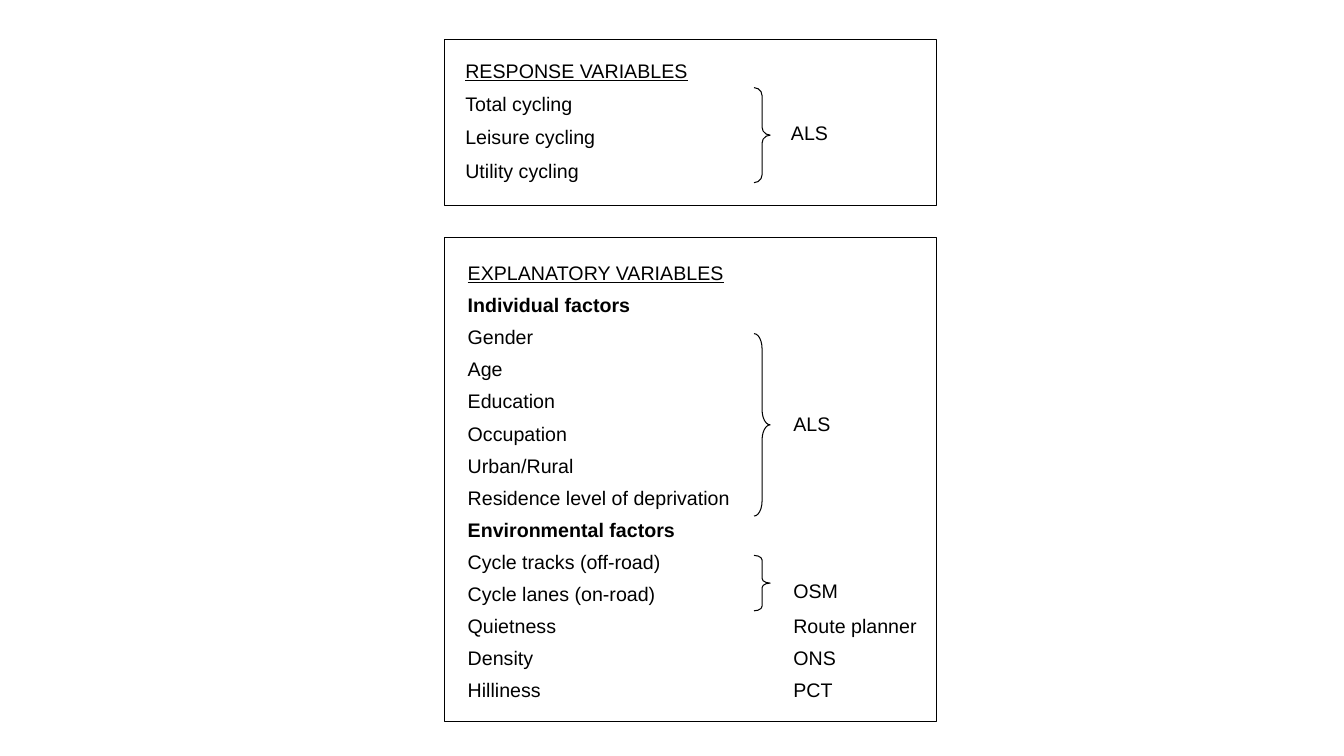
import dataclasses
import pptx
import pptx.dml.color
import pptx.enum.shapes
import pptx.presentation
import pptx.shapes.autoshape
import pptx.slide
import pptx.util

BLACK = "000000"
WHITE = "FFFFFF"
LINE_HEIGHT = 20.7
BRACE_LEFT = 538.6
BRACE_WIDTH = 11.5


@dataclasses.dataclass
class Row:
    variable: str
    source: str = ""
    source_rows: int = 1
    lines_above: int = 0
    underline: bool = False
    bold: bool = False

    @property
    def is_heading(self) -> bool:
        return self.underline or self.bold


@dataclasses.dataclass
class Panel:
    left: float
    top: float
    row_height: float
    margin: float
    rows: list[Row]


@dataclasses.dataclass
class Frame:
    top: float
    height: float


@dataclasses.dataclass
class Brace:
    top: float
    height: float


EXPLANATORY = Panel(326.9, 184.3, 22.94, 3.4, [
    Row("EXPLANATORY VARIABLES", underline=True),
    Row("Individual factors", bold=True),
    Row("Gender", "ALS", source_rows=6, lines_above=3),
    Row("Age"),
    Row("Education"),
    Row("Occupation"),
    Row("Urban/Rural"),
    Row("Residence level of deprivation"),
    Row("Environmental factors", bold=True),
    Row("Cycle tracks (off-road)", "OSM", source_rows=2, lines_above=1),
    Row("Cycle lanes (on-road)"),
    Row("Quietness", "Route planner"),
    Row("Density", "ONS"),
    Row("Hilliness", "PCT"),
])
RESPONSE = Panel(325.2, 39.6, 23.8, 3.6, [
    Row("RESPONSE VARIABLES", underline=True),
    Row("Total cycling", "ALS", source_rows=3, lines_above=1),
    Row("Leisure cycling"),
    Row("Utility cycling"),
])
FRAMES = [Frame(28.1, 119), Frame(169.9, 345.8)]
BRACES = [Brace(62.6, 67.9), Brace(238.3, 130.3), Brace(396.7, 39.6)]


def color(value: str) -> pptx.dml.color.RGBColor:
    return pptx.dml.color.RGBColor.from_string(value)


def write(cell, text: str, underline: bool = False, bold: bool = False) -> None:
    run = cell.text_frame.paragraphs[0].add_run()
    run.text = text
    run.font.name = "Arial"
    run.font.size = pptx.util.Pt(14)
    run.font.underline = underline
    run.font.bold = bold
    run.font.color.rgb = color(BLACK)


def draw_panel(slide: pptx.slide.Slide, panel: Panel) -> None:
    count = len(panel.rows)
    table = slide.shapes.add_table(
        count, 2, pptx.util.Pt(panel.left), pptx.util.Pt(panel.top),
        pptx.util.Pt(349.6), pptx.util.Pt(panel.row_height * count)).table
    table.first_row = False
    table.horz_banding = False
    for column, width in zip(table.columns, (232.6, 117)):
        column.width = pptx.util.Pt(width)
    for table_row in table.rows:
        table_row.height = pptx.util.Pt(panel.row_height)
    for cell in table.iter_cells():
        cell.fill.solid()
        cell.fill.fore_color.rgb = color(WHITE)
        cell.margin_left = cell.margin_right = pptx.util.Pt(7.2)
        cell.margin_top = cell.margin_bottom = pptx.util.Pt(panel.margin)
        cell.text_frame.paragraphs[0].font.size = pptx.util.Pt(14)
    for index, row in enumerate(panel.rows):
        variable, source = table.cell(index, 0), table.cell(index, 1)
        write(variable, row.variable, row.underline, row.bold)
        if row.is_heading:
            variable.merge(source)
        if row.source:
            write(source, row.source)
            source.margin_top = pptx.util.Pt(panel.margin + row.lines_above * LINE_HEIGHT)
        if row.source_rows > 1:
            source.merge(table.cell(index + row.source_rows - 1, 1))


def outline(shape: pptx.shapes.autoshape.Shape) -> None:
    shape.shadow.inherit = False
    shape.fill.background()
    shape.line.color.rgb = color(BLACK)
    shape.line.width = pptx.util.Pt(0.75)


def draw_frame(slide: pptx.slide.Slide, frame: Frame) -> None:
    outline(slide.shapes.add_shape(
        pptx.enum.shapes.MSO_SHAPE.RECTANGLE, pptx.util.Pt(317.5),
        pptx.util.Pt(frame.top), pptx.util.Pt(351.4), pptx.util.Pt(frame.height)))


def draw_brace(slide: pptx.slide.Slide, brace: Brace) -> None:
    shape = slide.shapes.add_shape(
        pptx.enum.shapes.MSO_SHAPE.RIGHT_BRACE, pptx.util.Pt(BRACE_LEFT),
        pptx.util.Pt(brace.top), pptx.util.Pt(BRACE_WIDTH), pptx.util.Pt(brace.height))
    shape.adjustments[0] = brace.height / 12 / BRACE_WIDTH
    outline(shape)


def main() -> None:
    presentation = pptx.Presentation()
    presentation.slide_width = pptx.util.Pt(960)
    presentation.slide_height = pptx.util.Pt(540)
    slide = presentation.slides.add_slide(presentation.slide_layouts[6])
    for panel in (EXPLANATORY, RESPONSE):
        draw_panel(slide, panel)
    for frame in FRAMES:
        draw_frame(slide, frame)
    for brace in BRACES:
        draw_brace(slide, brace)
    presentation.save("out.pptx")


if __name__ == "__main__":
    main()
